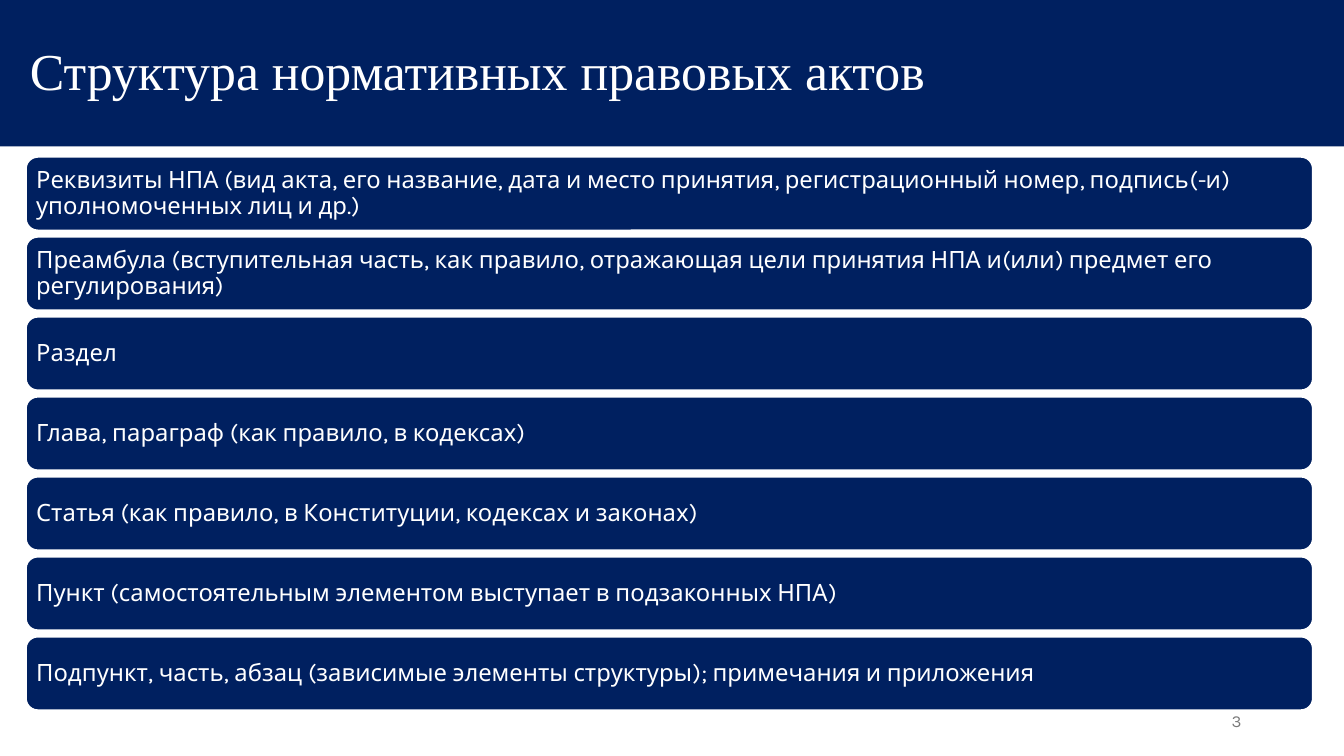
import pptx
import pptx.util
import pptx.dml.color
import pptx.enum.shapes
import pptx.enum.text
from pptx.util import Cm, Pt

TITLE = "Структура нормативных правовых актов"
NUMBER = "3"
PARTS = [
    "Реквизиты НПА (вид акта, его название, дата и место принятия, "
    "регистрационный номер, подпись(-и) уполномоченных лиц и др.)",
    "Преамбула (вступительная часть, как правило, отражающая цели принятия НПА "
    "и(или) предмет его регулирования)",
    "Раздел",
    "Глава, параграф (как правило, в кодексах)",
    "Статья (как правило, в Конституции, кодексах и законах)",
    "Пункт (самостоятельным элементом выступает в подзаконных НПА)",
    "Подпункт, часть, абзац (зависимые элементы структуры); примечания и приложения",
]
NAVY, WHITE, GRAY = "002060", "FFFFFF", "797979"
BAR_LEFT, BAR_WIDTH, BAR_HEIGHT = 0.64, 32.46, 1.88
FIRST_TOP, LAST_TOP = 3.94, 16.03
ALIGN = pptx.enum.text.PP_ALIGN


def paint(color_format, color):
    color_format.rgb = pptx.dml.color.RGBColor.from_string(color)


def fill(sp, color):
    sp.fill.solid()
    paint(sp.fill.fore_color, color)


def write(sp, text, font, size, color, align=ALIGN.LEFT, spacing=0.9):
    tf = sp.text_frame
    tf.text = text
    tf.word_wrap = True
    tf.auto_size = pptx.enum.text.MSO_AUTO_SIZE.NONE
    tf.vertical_anchor = pptx.enum.text.MSO_ANCHOR.MIDDLE
    p = tf.paragraphs[0]
    p.alignment = align
    p.line_spacing = spacing
    p.font.name = font
    p.font.size = Pt(size)
    paint(p.font.color, color)
    return tf


prs = pptx.Presentation()
prs.slide_width, prs.slide_height = Cm(33.87), Cm(19.05)
s = prs.slides.add_slide(prs.slide_layouts[5])

title = s.shapes.title
title.left, title.top = Cm(0), Cm(0)
title.width, title.height = prs.slide_width, Cm(3.69)
fill(title, NAVY)
tf = write(title, TITLE, "Times New Roman", 37, WHITE)
tf.margin_left = Cm(0.75)

number = s.shapes.add_textbox(Cm(23.92), Cm(17.66), Cm(7.62), Cm(1.01))
write(number, NUMBER, "Karla", 12, GRAY, ALIGN.RIGHT, 1.0)

pitch = (LAST_TOP - FIRST_TOP) / (len(PARTS) - 1)
for i, part in enumerate(PARTS):
    bar = s.shapes.add_shape(
        pptx.enum.shapes.MSO_SHAPE.ROUNDED_RECTANGLE,
        Cm(BAR_LEFT), Cm(FIRST_TOP + i * pitch), Cm(BAR_WIDTH), Cm(BAR_HEIGHT))
    bar.shadow.inherit = False
    fill(bar, NAVY)
    paint(bar.line.color, WHITE)
    bar.line.width = Pt(2)
    tf = write(bar, part, "Karla", 17, WHITE)
    tf.margin_left = tf.margin_right = tf.margin_top = tf.margin_bottom = Cm(0.18)

prs.save("out.pptx")
